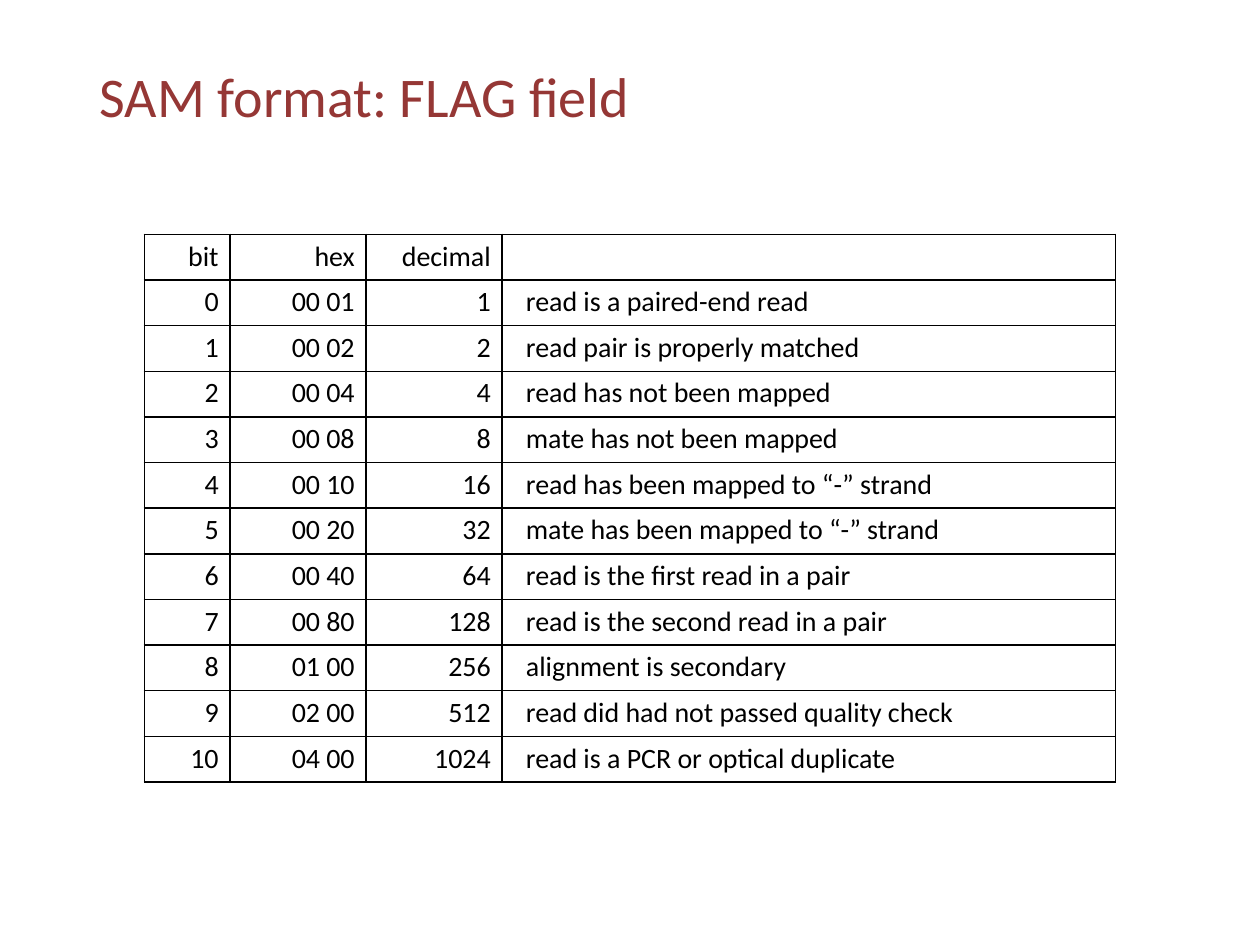
import pptx
import pptx.util
import pptx.dml.color
import pptx.enum.text
import pptx.oxml.ns
import lxml.etree

Inches, Pt = pptx.util.Inches, pptx.util.Pt
PP_ALIGN, MSO_ANCHOR = pptx.enum.text.PP_ALIGN, pptx.enum.text.MSO_ANCHOR
qn = pptx.oxml.ns.qn

COLORS = {"title": "953735", "text": "000000", "border": "000000"}
FONT = "Calibri"
SLIDE_W, SLIDE_H = 10, 7.5
COL_WIDTHS = [0.68, 1.08, 1.08, 4.87]
TABLE_H = 4.35
HEADER = ["bit", "hex", "decimal", ""]
MEANINGS = [
    "read is a paired-end read",
    "read pair is properly matched",
    "read has not been mapped",
    "mate has not been mapped",
    "read has been mapped to “-” strand",
    "mate has been mapped to “-” strand",
    "read is the first read in a pair",
    "read is the second read in a pair",
    "alignment is secondary",
    "read did had not passed quality check",
    "read is a PCR or optical duplicate",
]


def flag_row(bit, meaning):
    value = 1 << bit
    digits = f"{value:04x}"
    return [str(bit), f"{digits[:2]} {digits[2:]}", str(value), meaning]


def style_runs(p, size, color):
    for r in p.runs:
        r.font.name = FONT
        r.font.size = Pt(size)
        r.font.color.rgb = pptx.dml.color.RGBColor.from_string(COLORS[color])


def add_title(s, text):
    box = s.shapes.add_textbox(Inches(0.69), Inches(0.4), Inches(8.62), Inches(0.78))
    tf = box.text_frame
    tf.word_wrap = True
    tf.vertical_anchor = MSO_ANCHOR.MIDDLE
    tf.text = text
    p = tf.paragraphs[0]
    p.line_spacing = 0.9
    style_runs(p, 32, "title")


def set_borders(cell, width):
    tcPr = cell._tc.get_or_add_tcPr()
    for i, side in enumerate(("a:lnL", "a:lnR", "a:lnT", "a:lnB")):
        ln = lxml.etree.Element(qn(side), w=str(Pt(width)))
        fill = lxml.etree.SubElement(ln, qn("a:solidFill"))
        lxml.etree.SubElement(fill, qn("a:srgbClr"), val=COLORS["border"])
        tcPr.insert(i, ln)


def fill_cell(cell, text, is_meaning):
    cell.fill.background()
    set_borders(cell, 1)
    # Meanings are indented a little from the column edge
    cell.margin_left = Inches(0.19 if is_meaning else 0.09)
    cell.margin_right = Inches(0.09)
    cell.margin_top = cell.margin_bottom = Inches(0.04)
    p = cell.text_frame.paragraphs[0]
    if text:
        p.text = text
        p.alignment = PP_ALIGN.LEFT if is_meaning else PP_ALIGN.RIGHT
        style_runs(p, 16, "text")
    else:
        # Keeps the empty cell from stretching its row
        lxml.etree.SubElement(p._p, qn("a:endParaRPr"), sz="1600")


def add_flag_table(s, rows):
    width = sum(COL_WIDTHS)
    frame = s.shapes.add_table(
        len(rows), len(COL_WIDTHS), Inches((SLIDE_W - width) / 2), Inches(1.86),
        Inches(width), Inches(TABLE_H))
    table = frame.table
    table.first_row = table.horz_banding = False
    for column, w in zip(table.columns, COL_WIDTHS):
        column.width = Inches(w)
    for i, row in enumerate(rows):
        table.rows[i].height = Inches(TABLE_H / len(rows))
        for j, text in enumerate(row):
            fill_cell(table.cell(i, j), text, j == len(row) - 1)


def main():
    prs = pptx.Presentation()
    prs.slide_width, prs.slide_height = Inches(SLIDE_W), Inches(SLIDE_H)
    s = prs.slides.add_slide(prs.slide_layouts[6])

    # Title
    add_title(s, "SAM format: FLAG field")

    # Flag bits and their meanings
    add_flag_table(s, [HEADER] + [flag_row(b, m) for b, m in enumerate(MEANINGS)])

    prs.save("out.pptx")


main()
